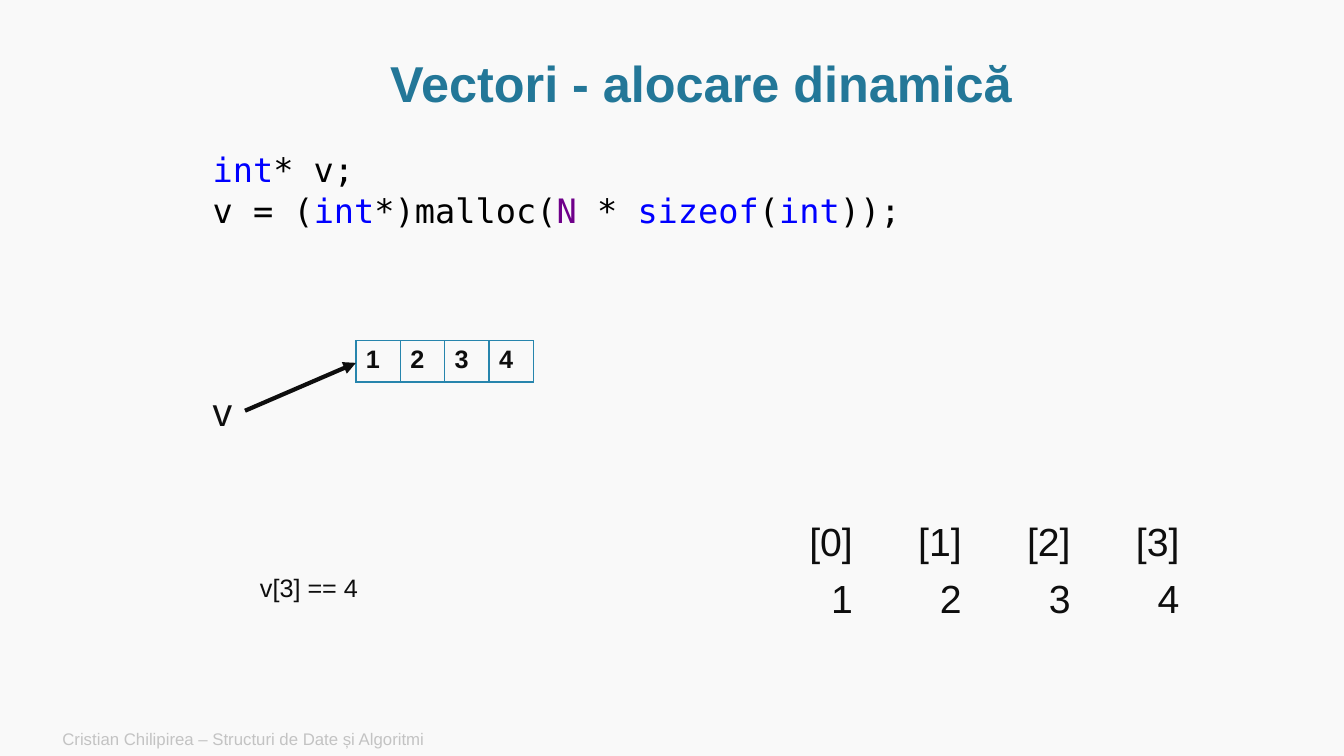
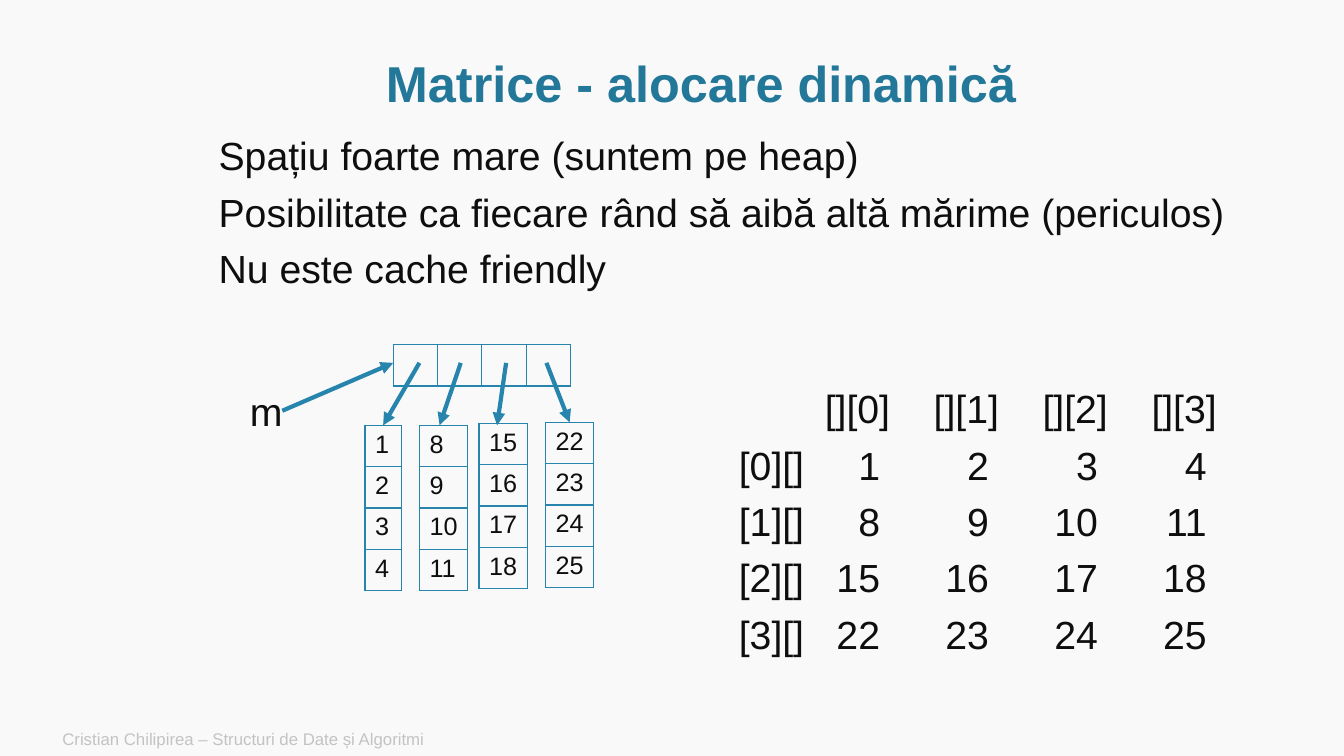
"""Build two slides on dynamic allocation of vectors and matrices."""
from dataclasses import dataclass
from typing import Any, NamedTuple, Sequence

import pptx
from lxml import etree
from pptx import util as u
from pptx.dml import color
from pptx.enum import shapes, text
from pptx.oxml import ns
from pptx.slide import Slide


@dataclass(frozen=True)
class Theme:
    """Colours, fonts and type sizes."""
    back: str = "F9F9F9"
    head: str = "237798"
    ink: str = "0E0E0E"
    line: str = "2785AD"
    foot: str = "C3C3C3"
    code: str = "000000"
    key: str = "0000FF"
    macro: str = "6F008A"
    sans: str = "Arial"
    mono: str = "DejaVu Sans Mono"
    title: int = 36
    body: int = 28
    source: int = 24
    small: int = 18
    note: int = 12


class Box(NamedTuple):
    """Left, top, width and height in inches."""
    x: float
    y: float
    w: float
    h: float


class Point(NamedTuple):
    """A place on the slide in inches."""
    x: float
    y: float


class Run(NamedTuple):
    """A piece of text with its own colour."""
    words: str
    hue: str


@dataclass(frozen=True)
class Column:
    """A matrix row drawn as a column, with the arrow that leads to it."""
    at: Point
    width: float
    tail: Point
    tip: Point


T = Theme()
Line = str | Sequence[Run]
CELL = 0.44
ROW = 0.41
STEP = 1.08
MATRIX = [range(first, first + 4) for first in (1, 8, 15, 22)]
COLUMNS = [
    Column(Point(3.62, 4.22), 0.36, Point(4.16, 3.6), Point(3.8, 4.22)),
    Column(Point(4.16, 4.22), 0.48, Point(4.57, 3.6), Point(4.36, 4.22)),
    Column(Point(4.75, 4.2), 0.48, Point(5.02, 3.6), Point(4.93, 4.22)),
    Column(Point(5.41, 4.19), 0.48, Point(5.42, 3.6), Point(5.65, 4.19)),
]
CODE = [
    [Run("int", T.key), Run("* v;", T.code)],
    [Run("v = (", T.code), Run("int", T.key), Run("*)malloc(", T.code),
     Run("N", T.macro), Run(" * ", T.code), Run("sizeof", T.key),
     Run("(", T.code), Run("int", T.key), Run("));", T.code)],
]


def rgb(hue: str) -> color.RGBColor:
    """Turn a hex string into a colour."""
    return color.RGBColor.from_string(hue)


def stops(first: float) -> list[float]:
    """Give four tab stops at equal steps."""
    return [first + STEP * i for i in range(4)]


def fill(par: Any, line: Line, *, size: int = T.body, hue: str = T.ink,
         font: str = T.sans, bold: bool = False) -> None:
    """Add formatted runs to a paragraph."""
    for piece in [Run(line, hue)] if isinstance(line, str) else line:
        run = par.add_run()
        run.text = piece.words
        run.font.size = u.Pt(size)
        run.font.name = font
        run.font.bold = bold
        run.font.color.rgb = rgb(piece.hue)


def write(slide: Slide, box: Box, lines: Sequence[Line], *,
          align: Any = None, anchor: Any = text.MSO_ANCHOR.TOP,
          space: float | None = None, gap: int = 0, wrap: bool = True,
          tabs: Sequence[Sequence[float]] = (), **form: Any) -> Any:
    """Add a text box with one paragraph for each line."""
    shape = slide.shapes.add_textbox(*map(u.Inches, box))
    frame = shape.text_frame
    frame.word_wrap = wrap
    frame.vertical_anchor = anchor
    for i, line in enumerate(lines):
        par = frame.add_paragraph() if i else frame.paragraphs[0]
        if tabs:
            group = etree.SubElement(par._p.get_or_add_pPr(), ns.qn("a:tabLst"))
            for stop in tabs[i]:
                etree.SubElement(group, ns.qn("a:tab"),
                                 pos=str(u.Inches(stop)), algn="r")
        par.alignment = align
        par.line_spacing = space
        if i and gap:
            par.space_before = u.Pt(gap)
        fill(par, line, **form)
    return shape


def edge(cell: Any) -> None:
    """Clear the fill of a cell and outline its four sides."""
    cell.fill.background()
    props = cell._tc.get_or_add_tcPr()
    for i, side in enumerate("LRTB"):
        line = etree.Element(ns.qn(f"a:ln{side}"), w=str(u.Pt(1)))
        solid = etree.SubElement(line, ns.qn("a:solidFill"))
        etree.SubElement(solid, ns.qn("a:srgbClr"), val=T.line)
        props.insert(i, line)


def grid(slide: Slide, at: Point, rows: Sequence[Sequence[Any]],
         width: float = CELL, bold: bool = False) -> None:
    """Add an outlined table of equal cells."""
    wide, high = len(rows[0]), len(rows)
    table = slide.shapes.add_table(
        high, wide, *map(u.Inches, (*at, width * wide, ROW * high))).table
    table.first_row = table.horz_banding = False
    for i, row in enumerate(rows):
        for j, value in enumerate(row):
            cell = table.cell(i, j)
            edge(cell)
            if value != "":
                fill(cell.text_frame.paragraphs[0], str(value),
                     size=T.small, bold=bold)


def arrow(slide: Slide, tail: Point, tip: Point, hue: str = T.line) -> Any:
    """Add a straight arrow."""
    link = slide.shapes.add_connector(
        shapes.MSO_CONNECTOR.STRAIGHT, *map(u.Inches, (*tail, *tip)))
    link.line.width = u.Pt(3)
    link.line.color.rgb = rgb(hue)
    etree.SubElement(link.line._get_or_add_ln(), ns.qn("a:tailEnd"),
                     type="triangle")
    etree.SubElement(link._element.spPr, ns.qn("a:effectLst"))
    return link


def label(slide: Slide, name: str, left: float, hue: str) -> None:
    """Name a pointer and draw its arrow."""
    box = Box(left, 3.79, 0.42, 0.57)
    shape = write(slide, box, [name])
    link = arrow(slide, Point(left + box.w, 4.08), Point(left + 1.52, 3.6), hue)
    link.begin_connect(shape, 3)


def start(deck: Any, title: str) -> Slide:
    """Add a slide with its title and footer."""
    slide = deck.slides.add_slide(deck.slide_layouts[6])
    write(slide, Box(0.52, 7.16, 8.4, 0.34),
          ["Cristian Chilipirea – Structuri de Date și Algoritmi"],
          anchor=text.MSO_ANCHOR.MIDDLE, size=T.note, hue=T.foot)
    write(slide, Box(1.14, 0.51, 11.63, 0.69), [title],
          align=text.PP_ALIGN.CENTER, anchor=text.MSO_ANCHOR.MIDDLE,
          space=0.9, size=T.title, hue=T.head, bold=True)
    return slide


def vector(deck: Any) -> None:
    """Build the vector slide."""
    slide = start(deck, "Vectori - alocare dinamică")
    row = MATRIX[0]
    grid(slide, Point(3.53, 3.38), [row], bold=True)
    write(slide, Box(2.01, 1.43, 8.38, 0.91), CODE,
          size=T.source, font=T.mono)
    label(slide, "v", 2.01, T.ink)
    lines = ["".join(f"\t[{i}]" for i in range(4)),
             "".join(f"\t{n}" for n in row)]
    write(slide, Box(6.86, 5.14, 5.28, 1.78), lines, space=0.9, gap=10,
          tabs=[stops(1.5)] * 2)
    write(slide, Box(2.48, 5.63, 1.18, 0.4), ["v[3] == 4"],
          wrap=False, size=T.small)


def matrix(deck: Any) -> None:
    """Build the matrix slide."""
    slide = start(deck, "Matrice - alocare dinamică")
    write(slide, Box(2.07, 1.31, 10.69, 1.8),
          ["Spațiu foarte mare (suntem pe heap)",
           "Posibilitate ca fiecare rând să aibă altă mărime (periculos)",
           "Nu este cache friendly"], space=0.9, gap=10)
    grid(slide, Point(3.9, 3.42), [[""] * 4])
    label(slide, "m", 2.38, T.line)
    for col, row in zip(COLUMNS, MATRIX):
        grid(slide, col.at, [[n] for n in row], col.width)
        arrow(slide, col.tail, col.tip)
    lines = ["".join(f"\t[][{i}]" for i in range(4))]
    lines += [f"[{i}][]" + "".join(f"\t{n}" for n in row)
              for i, row in enumerate(MATRIX)]
    write(slide, Box(7.23, 3.82, 5.28, 3.1), lines, space=0.9, gap=10,
          tabs=[stops(1.5)] + [stops(1.4)] * 4)


def main() -> None:
    """Build and save the deck."""
    deck = pptx.Presentation()
    deck.slide_width, deck.slide_height = u.Inches(13.33), u.Inches(7.5)
    back = deck.slide_master.background.fill
    back.solid()
    back.fore_color.rgb = rgb(T.back)
    vector(deck)
    matrix(deck)
    deck.save("out.pptx")


if __name__ == "__main__":
    main()
